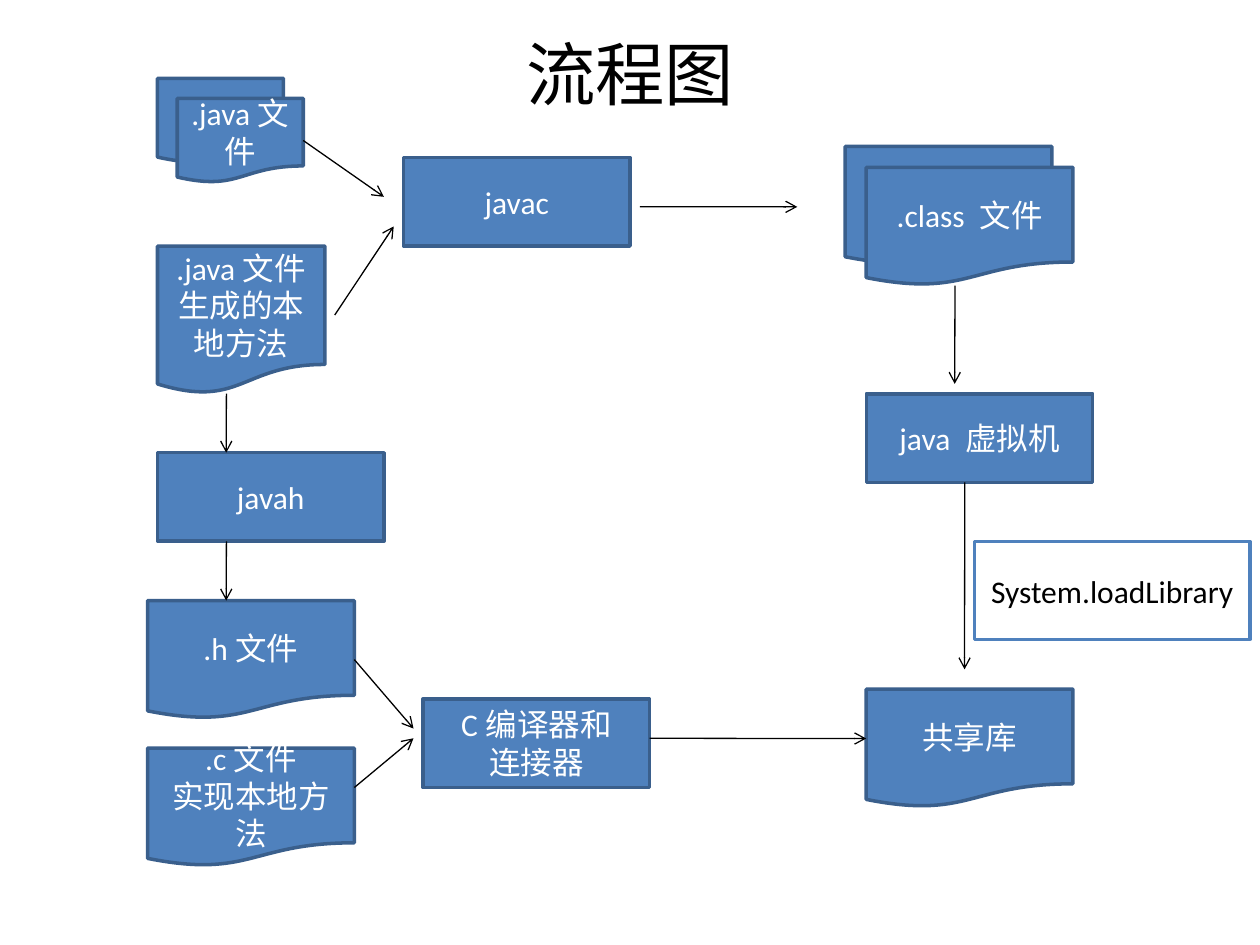
from lxml.etree import SubElement
from pptx import Presentation
from pptx.dml.color import RGBColor
from pptx.enum.shapes import MSO_CONNECTOR, MSO_SHAPE
from pptx.enum.text import MSO_ANCHOR, PP_ALIGN
from pptx.oxml.ns import qn
from pptx.util import Pt


def color(hex_string):
    return RGBColor.from_string(hex_string)


def format_text(text_frame, size, text_color):
    text_frame.word_wrap = True
    text_frame.vertical_anchor = MSO_ANCHOR.MIDDLE
    for paragraph in text_frame.paragraphs:
        paragraph.alignment = PP_ALIGN.CENTER
        for run in paragraph.runs:
            run.font.name = "Calibri"
            run.font.size = Pt(size)
            run.font.color.rgb = color(text_color)


presentation = Presentation()
presentation.slide_width = Pt(720)
presentation.slide_height = Pt(540)
slide = presentation.slides.add_slide(presentation.slide_layouts[5])

title = slide.shapes.title
title.left, title.top, title.width, title.height = Pt(36), Pt(21.6), Pt(648), Pt(40.3)
title.text_frame.text = "流程图"
format_text(title.text_frame, 39.6, "000000")

DOCUMENT = MSO_SHAPE.FLOWCHART_DOCUMENT
PROCESS = MSO_SHAPE.RECTANGLE
SMALL, MEDIUM, LARGE = (72, 48.2), (95.6, 84.4), (118.1, 67.5)
BOX, LABEL = (129.4, 50.6), (157.5, 56)
BLUE = ("4F81BD", "3A5F8C", "FFFFFF")
WHITE = ("FFFFFF", "4F81BD", "000000")

nodes = [
    ("java back", DOCUMENT, 90, 44.8, SMALL, BLUE, ""),
    ("java files", DOCUMENT, 101.3, 56.2, SMALL, BLUE, ".java文件"),
    ("native methods", DOCUMENT, 90, 140.6, MEDIUM, BLUE, ".java文件生成的本地方法"),
    ("javac", PROCESS, 230.6, 90, BOX, BLUE, "javac"),
    ("class back", DOCUMENT, 483, 83.7, LARGE, BLUE, ""),
    ("class files", DOCUMENT, 495, 95.6, LARGE, BLUE, ".class 文件"),
    ("virtual machine", PROCESS, 495, 225, BOX, BLUE, "java 虚拟机"),
    ("shared library", DOCUMENT, 495, 393.8, LARGE, BLUE, "共享库"),
    ("javah", PROCESS, 90, 258.7, BOX, BLUE, "javah"),
    ("header file", DOCUMENT, 84.4, 343.2, LARGE, BLUE, ".h文件"),
    ("c file", DOCUMENT, 84.4, 427.5, LARGE, BLUE, ".c文件\n实现本地方法"),
    ("compiler", PROCESS, 241.8, 399.4, BOX, BLUE, "C编译器和\n连接器"),
    ("load call", PROCESS, 556.8, 309.4, LABEL, WHITE, "System.loadLibrary"),
]
shapes = {}
for name, kind, left, top, (width, height), (fill, line, text_color), text in nodes:
    shape = slide.shapes.add_shape(kind, Pt(left), Pt(top), Pt(width), Pt(height))
    shape.shadow.inherit = False
    shape.fill.solid()
    shape.fill.fore_color.rgb = color(fill)
    shape.line.color.rgb = color(line)
    shape.line.width = Pt(2)
    if text:
        shape.text_frame.text = text
        format_text(shape.text_frame, 18, text_color)
    shapes[name] = shape

arrows = [
    (173.3, 80.4, 219.4, 112.5, "java files"),
    (191.3, 180, 225, 129.4, None),
    (365.6, 118.1, 455.6, 118.23, None),
    (545.7, 163.2, 545.57, 219.4, None),
    (551.3, 275.6, 551.17, 382.5, None),
    (129.4, 225, 129.27, 258.7, None),
    (129.4, 309.4, 129.27, 343.2, None),
    (202.5, 376.9, 236.3, 416.3, "header file"),
    (202.5, 450, 236.3, 421.9, None),
    (371.3, 421.9, 495, 422.03, None),
]
for begin_x, begin_y, end_x, end_y, source in arrows:
    connector = slide.shapes.add_connector(
        MSO_CONNECTOR.STRAIGHT, Pt(begin_x), Pt(begin_y), Pt(end_x), Pt(end_y)
    )
    if source:
        connector.begin_connect(shapes[source], 3)
    connector.line.color.rgb = color("000000")
    connector.line.width = Pt(0.75)
    SubElement(connector.line._get_or_add_ln(), qn("a:tailEnd"), type="arrow")
    SubElement(connector._element.spPr, qn("a:effectLst"))

presentation.save("out.pptx")
